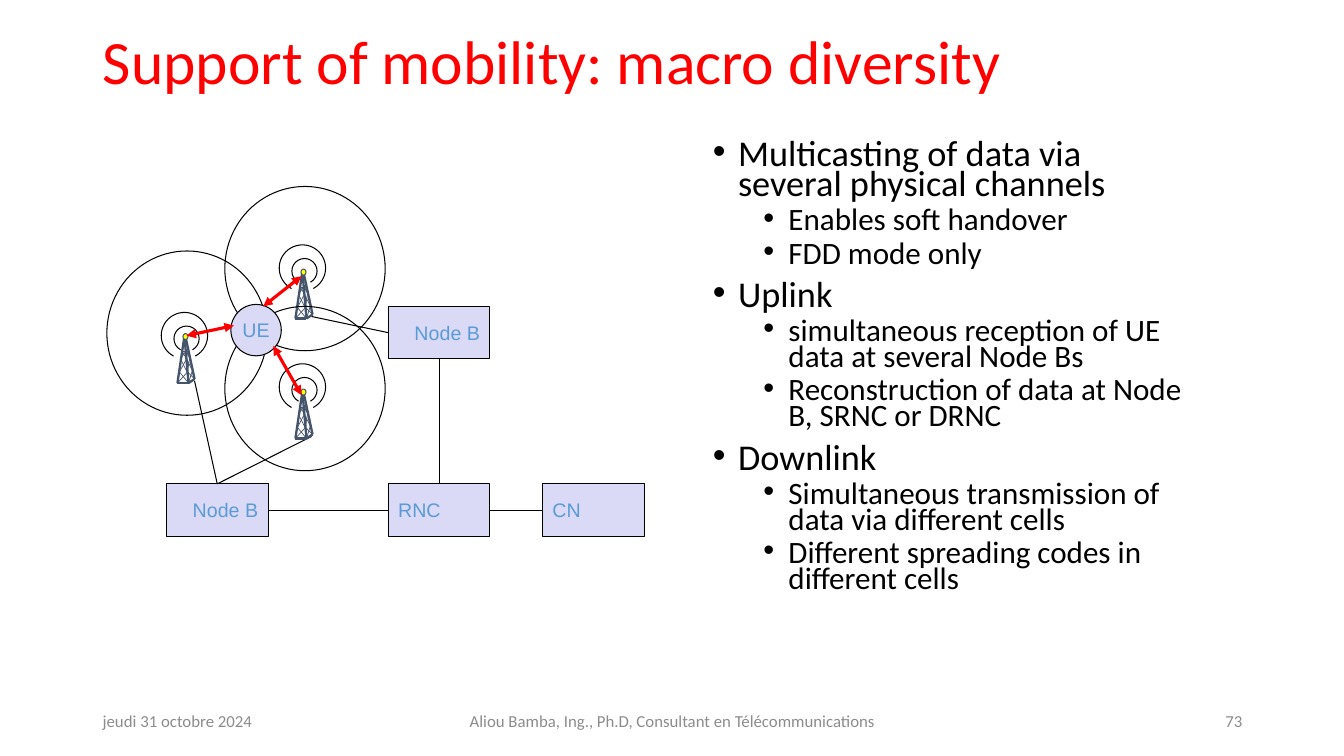
from lxml.etree import SubElement
from pptx import Presentation
from pptx.dml.color import RGBColor
from pptx.enum.shapes import MSO_CONNECTOR, MSO_SHAPE as Shape
from pptx.enum.text import MSO_ANCHOR as Anchor, MSO_AUTO_SIZE as AutoSize, PP_ALIGN as Align
from pptx.oxml.ns import qn
from pptx.util import Inches, Pt

BLACK, RED, GREY, STEEL = "000000", "FF0000", "8C8C8C", "44546A"
LILAC, BLUE, YELLOW = "DADAF6", "5B9BD5", "FFFF00"
TOP, LEFT, BOTTOM, RIGHT = range(4)

# Tower lines as offsets from the tower top
LATTICE = [
    ((-0.02, 0.16), (0.01, 0.16)), ((-0.04, 0.23), (0.01, 0.16)),
    ((-0.04, 0.23), (0.03, 0.37)), ((-0.07, 0.47), (0.03, 0.36)),
    ((-0.05, 0.36), (0.04, 0.47)), ((-0.05, 0.36), (0.02, 0.23)),
    ((-0.02, 0.16), (0.02, 0.23)), ((0.04, 0.47), (0.08, 0.34)),
    ((0.02, 0.23), (0.08, 0.35)), ((0.02, 0.23), (0.03, 0.15)),
    ((0.02, 0.16), (0.04, 0.15)), ((0.02, 0.16), (0.05, 0.22)),
    ((0.03, 0.36), (0.05, 0.22)), ((0.03, 0.36), (0.1, 0.43)),
]
FRAME = [
    ((-0.07, 0.47), (0, 0)), ((0, 0.01), (0.04, 0.47)), ((0.04, 0.47), (0.1, 0.43)),
    ((0.01, 0.01), (0.1, 0.43)), ((-0.07, 0.47), (0.04, 0.47)),
]
# Tower top, and height of the centre of its outer radio wave
STATIONS = [((3, 2.69), 2.66), ((1.83, 3.33), 3.33), ((3, 3.88), 3.84)]
RADIO_LINKS = [
    ((1.85, 3.33), (2.32, 3.23)), ((2.99, 3.92), (2.71, 3.43)), ((2.99, 2.74), (2.61, 3.04)),
]
BULLETS = [
    (0, "Multicasting of data via several physical channels"),
    (1, "Enables soft handover"),
    (1, "FDD mode only"),
    (0, "Uplink"),
    (1, "simultaneous reception of UE data at several Node Bs"),
    (1, "Reconstruction of data at Node B, SRNC or DRNC"),
    (0, "Downlink"),
    (1, "Simultaneous transmission of data via different cells"),
    (1, "Different spreading codes in different cells"),
]


def rgb(value):
    return RGBColor.from_string(value)


def shifted(origin, offset):
    return origin[0] + offset[0], origin[1] + offset[1]


class SlideBuilder:
    """Holds the page and its text and line style."""
    text_font, label_font = "Calibri", "Arial"
    thin = 0.75

    def __init__(self, page):
        self.page = page

    def place(self, shape, left, top, width, height):
        shape.left, shape.top = Inches(left), Inches(top)
        shape.width, shape.height = Inches(width), Inches(height)

    def style(self, para, size, color, name=text_font, align=Align.LEFT):
        para.alignment = align
        para.font.size, para.font.name = Pt(size), name
        para.font.color.rgb = rgb(color)

    def title(self, text):
        title = self.page.shapes.title
        self.place(title, 0.92, 0.07, 11.5, 1.15)
        frame = title.text_frame
        frame.text = text
        frame.auto_size, frame.vertical_anchor = AutoSize.NONE, Anchor.MIDDLE
        frame.paragraphs[0].line_spacing = 0.9
        self.style(frame.paragraphs[0], 44, RED)

    def bullets(self, items):
        body = self.page.placeholders[1]
        self.place(body, 6.97, 1.36, 4.88, 5.01)
        frame = body.text_frame
        frame.auto_size = AutoSize.NONE
        frame.text = "\n".join(text for _, text in items)
        for index, (para, (level, _)) in enumerate(zip(frame.paragraphs, items)):
            para.level, para.line_spacing = level, 0.7
            para.space_before = Pt((5 if level else 10) if index else 0)
            props = para._p.get_or_add_pPr()
            props.set("marL", str(Inches(0.25 + 0.5 * level)))
            props.set("indent", str(Inches(-0.25)))
            SubElement(props, qn("a:buFont"), typeface="Arial")
            SubElement(props, qn("a:buChar"), char="•")
            self.style(para, 22.2 if level else 25.9, BLACK)

    def footer(self, text, left, width, align):
        box = self.page.shapes.add_textbox(Inches(left), Inches(6.95), Inches(width), Inches(0.4))
        frame = box.text_frame
        frame.word_wrap, frame.vertical_anchor = True, Anchor.MIDDLE
        frame.text = text
        self.style(frame.paragraphs[0], 12, GREY, align=align)

    def shape(self, kind, left, top, width, height, fill=None, line=BLACK):
        shape = self.page.shapes.add_shape(
            kind, Inches(left), Inches(top), Inches(width), Inches(height))
        shape.shadow.inherit = False
        if fill:
            shape.fill.solid()
            shape.fill.fore_color.rgb = rgb(fill)
        else:
            shape.fill.background()
        shape.line.color.rgb, shape.line.width = rgb(line), Pt(self.thin)
        return shape

    def round(self, center, width, height, kind=Shape.OVAL, **colors):
        """Add a shape placed by its centre."""
        return self.shape(kind, center[0] - width / 2, center[1] - height / 2,
                          width, height, **colors)

    def label(self, shape, text, align):
        frame = shape.text_frame
        frame.word_wrap, frame.vertical_anchor = False, Anchor.MIDDLE
        frame.text = text
        self.style(frame.paragraphs[0], 14, BLUE, self.label_font, align)

    def node(self, text, left, top, align=Align.LEFT):
        box = self.shape(Shape.RECTANGLE, left, top, 1.01, 0.52, LILAC)
        self.label(box, text, align)
        return box

    def line(self, start, end, color=BLACK, width=thin, arrows=False):
        line = self.page.shapes.add_connector(
            MSO_CONNECTOR.STRAIGHT, *(Inches(value) for value in (*start, *end)))
        line.line.color.rgb, line.line.width = rgb(color), Pt(width)
        if arrows:
            for end_tag in ("a:headEnd", "a:tailEnd"):
                SubElement(line.line._get_or_add_ln(), qn(end_tag), type="triangle")
        SubElement(line._element.spPr, qn("a:effectLst"))
        return line

    def link(self, box, side, other, other_side=None):
        """Join a box to another box, or to a point when no other side is given."""
        if other_side is None:
            self.line((0, 0), other).begin_connect(box, side)
        else:
            line = self.line((0, 0), (1, 1))
            line.begin_connect(box, side)
            line.end_connect(other, other_side)

    def tower(self, top):
        for segments, width in ((LATTICE, 0.5), (FRAME, 1.63)):
            for start, end in segments:
                self.line(shifted(top, start), shifted(top, end), STEEL, width)
        self.round(shifted(top, (0.01, 0.01)), 0.05, 0.06, fill=YELLOW, line=STEEL)

    def wave(self, center, size):
        """Add a circle that is open at the bottom."""
        arc = self.round(center, size, size, Shape.ARC)
        for index, degrees in enumerate((118, 62)):
            arc.adjustments[index] = degrees * 0.6


def main():
    deck = Presentation()
    deck.slide_width, deck.slide_height = Inches(13.33), Inches(7.5)
    builder = SlideBuilder(deck.slides.add_slide(deck.slide_layouts[1]))
    builder.title("Support of mobility: macro diversity")
    builder.bullets(BULLETS)
    builder.footer("jeudi 31 octobre 2024", 0.92, 3, Align.LEFT)
    builder.footer("Aliou Bamba, Ing., Ph.D, Consultant en Télécommunications",
                   4.42, 4.5, Align.CENTER)
    builder.footer("73", 9.42, 3, Align.RIGHT)

    core = builder.node("CN", 5.38, 4.8)
    lower_node = builder.node("Node B", 1.65, 4.8, Align.RIGHT)
    controller = builder.node("RNC", 3.85, 4.8)
    upper_node = builder.node("Node B", 3.85, 3.04, Align.RIGHT)
    builder.link(controller, LEFT, lower_node, RIGHT)
    builder.link(controller, RIGHT, core, LEFT)
    builder.link(upper_node, BOTTOM, controller, TOP)
    builder.link(lower_node, TOP, (3.09, 4.33))
    builder.link(lower_node, TOP, (1.93, 3.78))
    builder.link(upper_node, LEFT, (3.09, 3.14))

    for top, wave_y in STATIONS:
        builder.round(shifted(top, (0.025, -0.025)), 1.59, 1.63)
        builder.tower(top)
        builder.wave((top[0], wave_y), 0.46)
        builder.wave((top[0] + 0.02, wave_y + 0.03), 0.25)

    terminal = builder.shape(Shape.OVAL, 2.29, 3.02, 0.5, 0.51, LILAC)
    builder.label(terminal, "UE", Align.CENTER)
    for start, end in RADIO_LINKS:
        builder.line(start, end, RED, 2.25, arrows=True)
    deck.save("out.pptx")


if __name__ == "__main__":
    main()
